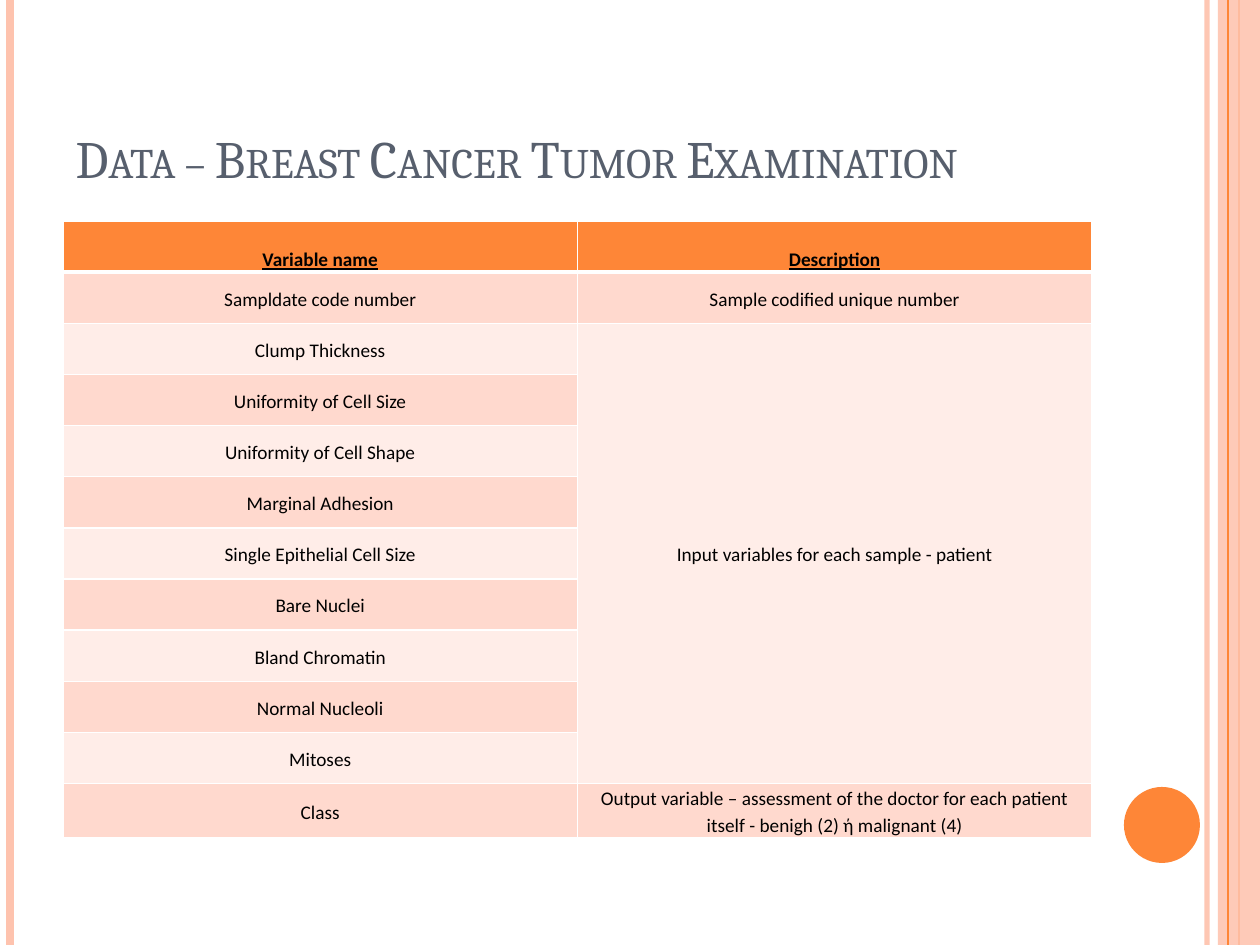
from dataclasses import dataclass

from lxml import etree
from pptx import Presentation
from pptx import util as u
from pptx.dml.color import RGBColor
from pptx.enum import shapes, text
from pptx.oxml.ns import qn


@dataclass(frozen=True)
class Theme:
    accent: str = "FE8637"
    pale: str = "FEC3AE"
    band: str = "FFD9CE"
    light: str = "FFEDE8"
    white: str = "FFFFFF"
    ink: str = "000000"
    head: str = "575F6D"
    title_font: str = "Cambria"
    body_font: str = "Calibri"
    title_size: int = 30
    body_size: int = 11


THEME = Theme()
W, H = 1260, 945

ROWS = [
    ("Variable name", "Description"),
    ("Sampldate code number", "Sample codified unique number"),
    ("Clump Thickness", "Input variables for each sample - patient"),
    ("Uniformity of Cell Size", ""),
    ("Uniformity of Cell Shape", ""),
    ("Marginal Adhesion", ""),
    ("Single Epithelial Cell Size", ""),
    ("Bare Nuclei", ""),
    ("Bland Chromatin", ""),
    ("Normal Nucleoli", ""),
    ("Mitoses", ""),
    ("Class", "Output variable – assessment of the doctor for each patient "
              "itself - benigh (2) ή malignant (4)"),
]
INPUTS = (2, 10)  # first and last row of the merged description


def px(n):
    return u.Emu(round(n * 914400 / 126))


def paint(fill, color, alpha=100):
    fill.solid()
    fill.fore_color.rgb = RGBColor.from_string(color)
    if alpha < 100:
        clr = fill.fore_color._xFill.find(qn("a:srgbClr"))
        etree.SubElement(clr, qn("a:alpha"), val=str(alpha * 1000))


def style(run, font, size, color):
    run.font.name = font
    run.font.size = u.Pt(size)
    run.font.color.rgb = RGBColor.from_string(color)


def add_rule(slide, x, color, width, alpha=100):
    """Full-height vertical line."""
    rule = slide.shapes.add_connector(
        shapes.MSO_CONNECTOR.STRAIGHT, px(x), 0, px(x), px(H))
    paint(rule.line.fill, color, alpha)
    rule.line.width = u.Pt(width)
    etree.SubElement(rule._element.spPr, qn("a:effectLst"))


def add_solid(slide, kind, box, color, alpha=100):
    shape = slide.shapes.add_shape(kind, *map(px, box))
    shape.shadow.inherit = False
    paint(shape.fill, color, alpha)
    shape.line.fill.background()


def add_title(slide, words, box):
    title = slide.shapes.title
    title.left, title.top, title.width, title.height = map(px, box)
    frame = title.text_frame
    frame.text = words
    frame.word_wrap = True
    frame.auto_size = text.MSO_AUTO_SIZE.NONE
    frame.vertical_anchor = text.MSO_ANCHOR.BOTTOM
    par = frame.paragraphs[0]
    par.alignment = text.PP_ALIGN.LEFT
    run = par.runs[0]
    style(run, THEME.title_font, THEME.title_size, THEME.head)
    run.font._element.set("cap", "small")


def add_edges(cell, bottom):
    """White cell borders; they must precede the fill in the XML."""
    props = cell._tc.get_or_add_tcPr()
    for side, width in (("L", 1), ("R", 1), ("T", 1), ("B", bottom)):
        line = etree.SubElement(props, qn(f"a:ln{side}"), w=str(u.Pt(width)))
        fill = etree.SubElement(line, qn("a:solidFill"))
        etree.SubElement(fill, qn("a:srgbClr"), val=THEME.white)


def fill_cell(cell, words, row):
    head = row == 0
    add_edges(cell, 3 if head else 1)
    color = THEME.band if row % 2 else THEME.light
    paint(cell.fill, THEME.accent if head else color)
    cell.margin_left = cell.margin_right = px(9)
    cell.margin_top = cell.margin_bottom = 0
    anchor = text.MSO_ANCHOR
    cell.vertical_anchor = anchor.BOTTOM if head else anchor.MIDDLE
    cell.text_frame.text = words
    par = cell.text_frame.paragraphs[0]
    par.alignment = text.PP_ALIGN.CENTER
    par.line_spacing = 1.15
    for run in par.runs:
        style(run, THEME.body_font, THEME.body_size, THEME.ink)
        run.font.bold = run.font.underline = head


def add_grid(slide, rows, box):
    grid = slide.shapes.add_table(
        len(rows), len(rows[0]), *map(px, box)).table
    for r, row in enumerate(rows):
        for c, words in enumerate(row):
            fill_cell(grid.cell(r, c), words, r)
    first, last = INPUTS
    grid.cell(first, 1).merge(grid.cell(last, 1))


def main():
    deck = Presentation()
    deck.slide_width, deck.slide_height = px(W), px(H)
    slide = deck.slides.add_slide(deck.slide_layouts[5])
    paint(slide.background.fill, THEME.white)

    # Side bands and disc
    kind = shapes.MSO_SHAPE
    add_rule(slide, 1207, THEME.pale, 3, 93)
    add_rule(slide, 10, THEME.pale, 4.5)
    add_rule(slide, 1239, THEME.accent, 1.5)
    add_solid(slide, kind.RECTANGLE, (1218, 0, 42, H), THEME.pale, 87)
    add_rule(slide, 1228, THEME.accent, 0.75)
    add_solid(slide, kind.OVAL, (1124, 787, 76, 76), THEME.accent)

    # Title and table
    add_title(slide, "Data – Breast Cancer Tumor Examination",
              (63, 38, 1029, 157))
    add_grid(slide, ROWS, (63, 221, 1029, 614))
    deck.save("out.pptx")


if __name__ == "__main__":
    main()
